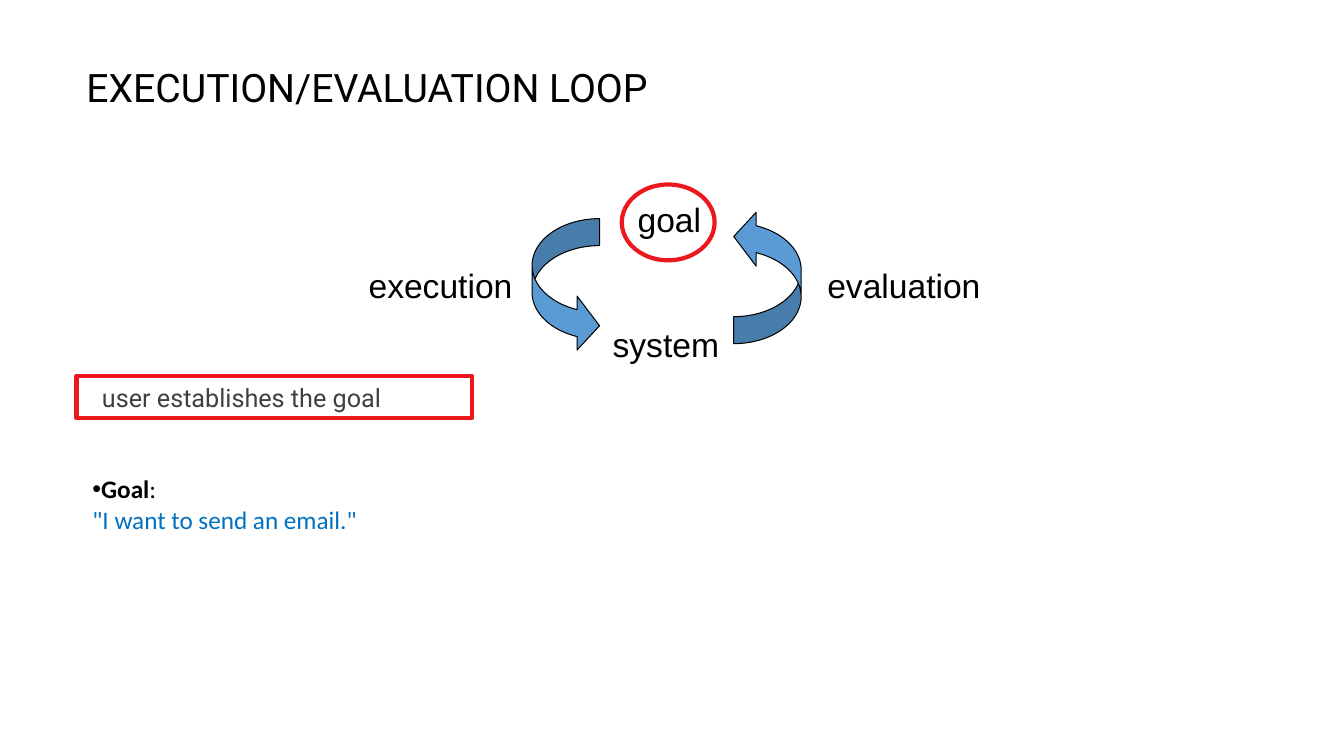
from lxml import etree
from pptx import Presentation
from pptx.dml.color import RGBColor
from pptx.enum import shapes, text
from pptx.oxml import ns
from pptx.util import Cm, Pt

# Content: lengths in cm as left, top, width, height
TITLE = ("EXECUTION/EVALUATION LOOP", (1.93, 1.09, 17.25, 2.34))
LOOP_LABELS = [
    ("system", (15.19, 8.05, 3.2, 1.27)),
    ("evaluation", (20.6, 6.55, 4.37, 1.27)),
    ("execution", (9.04, 6.55, 4.14, 1.27)),
    ("goal", (15.82, 4.88, 2.11, 1.27)),
]
LOOP_ARROWS = [  # place, rotation
    ((13.41, 5.51, 1.7, 3.38), 0),
    ((18.49, 5.28, 1.7, 3.38), 180),
]
ARROW_SHAPE = (0.4, 0.8, 0.333)
GOAL_RING = (15.67, 4.65, 2.34, 1.91)
STEP = ("user establishes the goal", (1.93, 9.47, 9.96, 1.07))
EXAMPLE_AREA = (2.08, 11.81, 16.94, 1.8)
EXAMPLE = ("Goal", ":", '"I want to send an email."')

BLACK, GREY, RED = "000000", "404040", "ED181E"
ARROW_BLUE, QUOTE_BLUE = "5B9BD5", "0070C0"


def color(hex_code):
    return RGBColor.from_string(hex_code)


def add_span(para, words, font, size, hex_code, bold=False):
    span = para.add_run()
    span.text = words
    span.font.name = font
    span.font.size = Pt(size)
    span.font.bold = bold
    span.font.color.rgb = color(hex_code)


def add_box(page, place, wrap=True, anchor=text.MSO_ANCHOR.TOP):
    box = page.shapes.add_textbox(*map(Cm, place))
    box.text_frame.word_wrap = wrap
    box.text_frame.vertical_anchor = anchor
    return box.text_frame.paragraphs[0]


def add_outline(page, kind, place, line, width, fill=None):
    shape = page.shapes.add_shape(kind, *map(Cm, place))
    shape.shadow.inherit = False
    shape.line.color.rgb = color(line)
    shape.line.width = Pt(width)
    if fill:
        shape.fill.solid()
        shape.fill.fore_color.rgb = color(fill)
    else:
        shape.fill.background()
    return shape


def add_bullet(para):
    props = para._p.get_or_add_pPr()
    props.set("marL", "0")
    props.set("indent", "0")
    etree.SubElement(props, ns.qn("a:buFont")).set("typeface", "Arial")
    etree.SubElement(props, ns.qn("a:buChar")).set("char", "•")


deck = Presentation()
deck.slide_width, deck.slide_height = Cm(33.87), Cm(19.05)
page = deck.slides.add_slide(deck.slide_layouts[6])

# Title
words, place = TITLE
para = add_box(page, place, anchor=text.MSO_ANCHOR.MIDDLE)
para.line_spacing = 0.9
add_span(para, words, "Roboto", 28, BLACK)

# Loop: labels, arrows and the ring round the goal
for words, place in LOOP_LABELS:
    add_span(add_box(page, place, wrap=False), words, "Arial", 24, BLACK)
for place, turn in LOOP_ARROWS:
    arrow = add_outline(page, shapes.MSO_SHAPE.CURVED_RIGHT_ARROW, place,
                        BLACK, 0.75, ARROW_BLUE)
    arrow.rotation = turn
    for index, value in enumerate(ARROW_SHAPE):
        arrow.adjustments[index] = value
add_outline(page, shapes.MSO_SHAPE.OVAL, GOAL_RING, RED, 3)

# Framed step
words, place = STEP
frame = add_outline(page, shapes.MSO_SHAPE.RECTANGLE, place, RED, 3).text_frame
frame.margin_left = Cm(0.64)
frame.margin_top = frame.margin_bottom = 0
frame.vertical_anchor = text.MSO_ANCHOR.MIDDLE
para = frame.paragraphs[0]
para.alignment = text.PP_ALIGN.LEFT
add_span(para, words, "Roboto", 18, GREY)

# Example of a goal
heading, colon, quote = EXAMPLE
para = add_box(page, EXAMPLE_AREA)
add_bullet(para)
add_span(para, heading, "Calibri", 18, BLACK, bold=True)
add_span(para, colon, "Calibri", 18, BLACK)
para.add_line_break()
add_span(para, quote, "Calibri", 18, QUOTE_BLUE)

deck.save("out.pptx")
